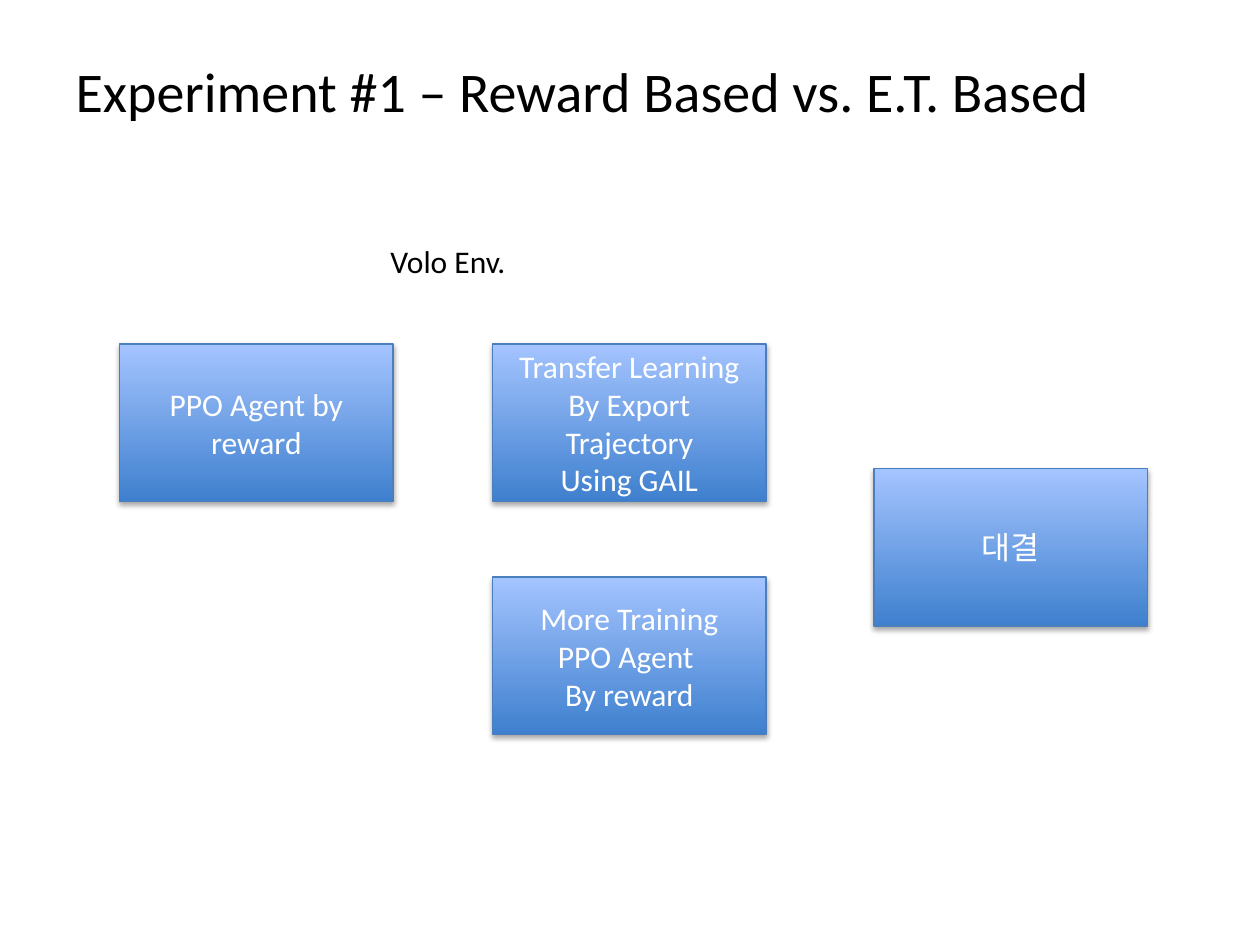
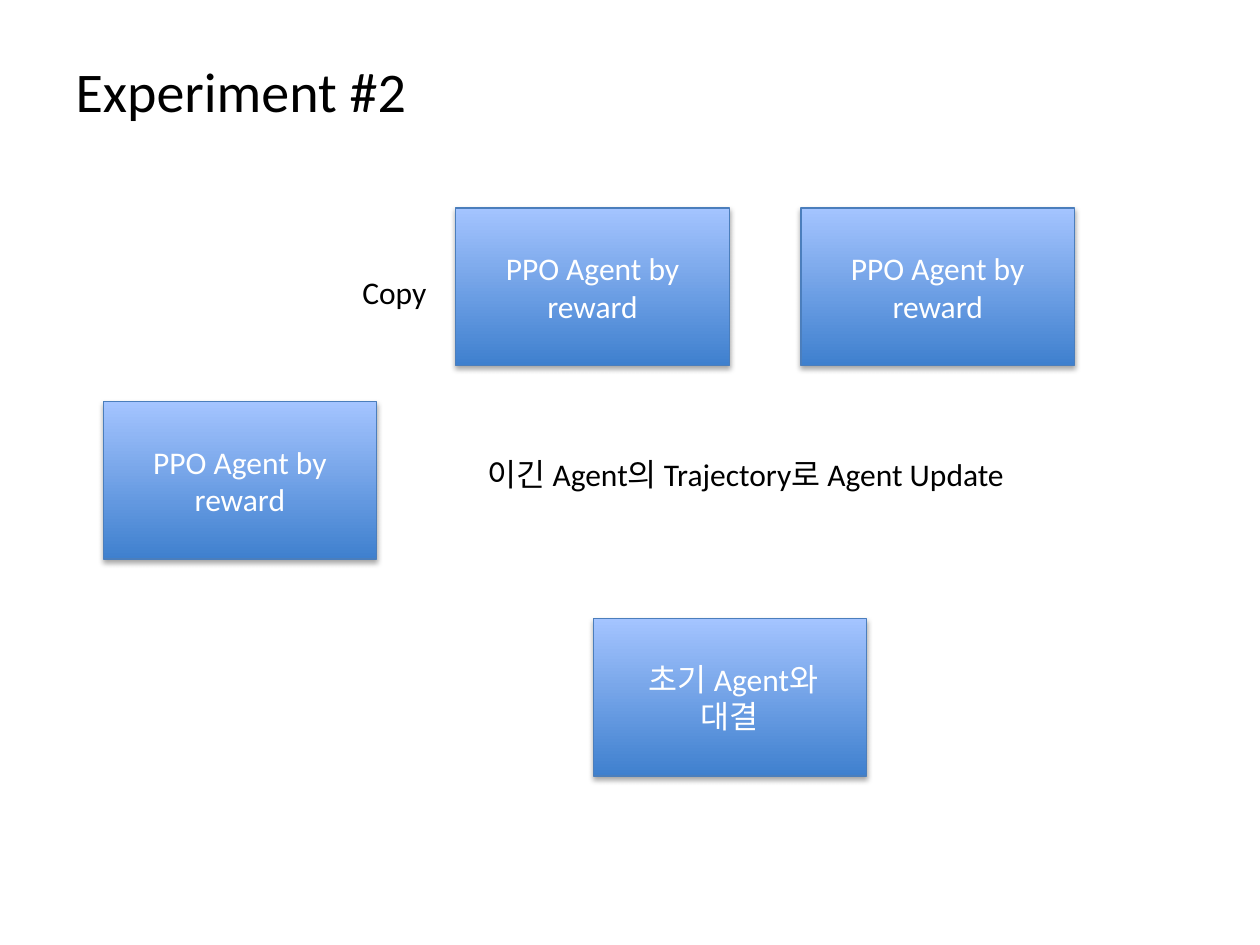
import pptx
import pptx.util
import pptx.dml.color
import pptx.enum.shapes
import pptx.enum.text
import pptx.oxml
import pptx.oxml.ns

Pt = pptx.util.Pt
ALIGN = pptx.enum.text.PP_ALIGN
ANCHOR = pptx.enum.text.MSO_ANCHOR

# Shared style
FONT = "Calibri"
BLACK, WHITE = "000000", "FFFFFF"
EDGE, DEEP, PALE = "4B7EBC", "3F80CE", "A4C4FF"
BOX_W, BOX_H = 156.25, 90
SHADOW = (
    f'<a:effectLst {pptx.oxml.ns.nsdecls("a")}>'
    '<a:outerShdw blurRad="40000" dist="23000" dir="5400000" rotWithShape="0">'
    '<a:srgbClr val="000000"><a:alpha val="35000"/></a:srgbClr>'
    '</a:outerShdw></a:effectLst>'
)


def color(code):
    return pptx.dml.color.RGBColor.from_string(code)


def write(frame, text, size=18, ink=BLACK, align=ALIGN.LEFT,
          anchor=ANCHOR.TOP, wrap=True):
    """Fill a text frame, one paragraph per line of text."""
    frame.word_wrap = wrap
    frame.vertical_anchor = anchor
    frame.text = text
    for para in frame.paragraphs:
        para.alignment = align
        for run in para.runs:
            run.font.name = FONT
            run.font.size = Pt(size)
            run.font.color.rgb = color(ink)


def start(deck, title):
    """Add a slide with its title."""
    slide = deck.slides.add_slide(deck.slide_layouts[5])
    head = slide.shapes.title
    head.left, head.top, head.width, head.height = map(Pt, (36, 21.6, 648, 59.75))
    write(head.text_frame, title, size=32, anchor=ANCHOR.MIDDLE)
    return slide


def box(slide, text, left, top):
    """Add a step box with gradient and soft shadow."""
    shape = slide.shapes.add_shape(
        pptx.enum.shapes.MSO_SHAPE.RECTANGLE,
        Pt(left), Pt(top), Pt(BOX_W), Pt(BOX_H))
    shape.fill.gradient()
    shape.fill.gradient_angle = 90
    for stop, (place, code) in zip(shape.fill.gradient_stops,
                                   ((0, DEEP), (1, PALE))):
        stop.position = place
        stop.color.rgb = color(code)
    shape.line.color.rgb = color(EDGE)
    shape.line.width = Pt(0.75)
    shape.element.spPr.append(pptx.oxml.parse_xml(SHADOW))
    write(shape.text_frame, text, ink=WHITE, align=ALIGN.CENTER,
          anchor=ANCHOR.MIDDLE)


def label(slide, text, left, top, width, wrap=False):
    """Add a plain note."""
    note = slide.shapes.add_textbox(Pt(left), Pt(top), Pt(width), Pt(29))
    write(note.text_frame, text, wrap=wrap)
    note.text_frame.auto_size = pptx.enum.text.MSO_AUTO_SIZE.SHAPE_TO_FIT_TEXT


def reward(deck):
    """Reward training against expert trajectories."""
    slide = start(deck, "Experiment #1 – Reward Based vs. E.T. Based")
    top, mid = 196.5, 281.5
    box(slide, "PPO Agent by reward", 68.4, top)
    box(slide, "Transfer Learning\nBy Export Trajectory\nUsing GAIL", mid, top)
    box(slide, "More Training\nPPO Agent \nBy reward", mid, 329.75)
    label(slide, "Volo Env.", 216, 134.6, 87)
    box(slide, "대결", 499.5, 267.75)


def update(deck):
    """Copied agents, updated from the winner."""
    slide = start(deck, "Experiment #2")
    agent = "PPO Agent by reward"
    for left, top in ((59, 229.5), (260.5, 118.8), (457.75, 118.8)):
        box(slide, agent, left, top)
    label(slide, "이긴 Agent의 Trajectory로 Agent Update",
          271.5, 256.3, 314, wrap=True)
    label(slide, "Copy", 200, 152.6, 52)
    box(slide, " 초기 Agent와\n대결", 339, 353.5)


def main():
    deck = pptx.Presentation()
    deck.slide_width, deck.slide_height = Pt(720), Pt(540)
    reward(deck)
    update(deck)
    deck.save("out.pptx")


if __name__ == "__main__":
    main()
